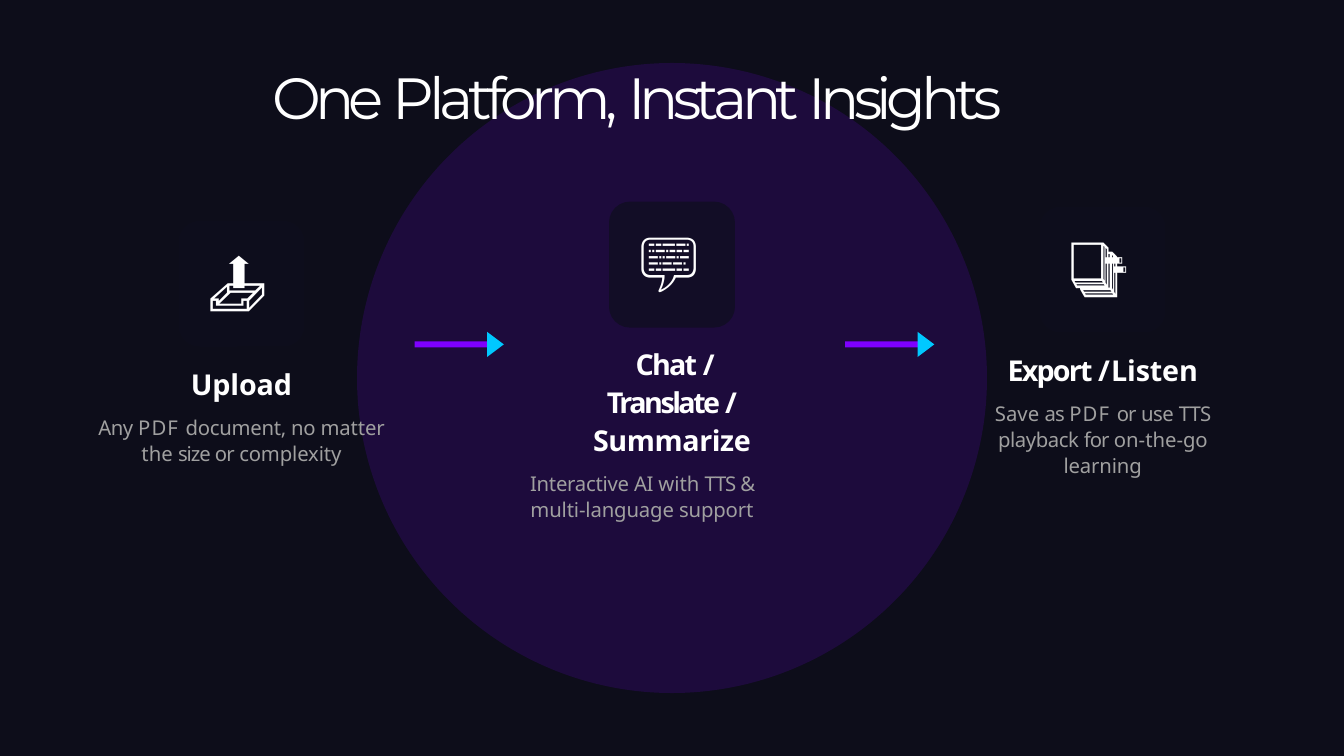
import pptx
import pptx.dml.color
import pptx.enum.shapes
import pptx.enum.text
import pptx.util
from lxml import etree

Pt = pptx.util.Pt
RGB = pptx.dml.color.RGBColor
KIND = pptx.enum.shapes.MSO_SHAPE
ALIGN = pptx.enum.text.PP_ALIGN

NIGHT = RGB(0x0D, 0x0D, 0x1A)
TILE = RGB(0x0E, 0x0E, 0x1D)
VIOLET = RGB(0x7E, 0x00, 0xFF)
CYAN = RGB(0x00, 0xC8, 0xFF)
WHITE = RGB(0xFF, 0xFF, 0xFF)
GREY = RGB(0xA0, 0xA0, 0xA0)

STEP = 307.5

TITLE = [("One ", -4.2), ("Platform, ", -3.8), ("Instant ", -4.2), ("Insights", -4)]

STAGES = [
    ("📤", 157.7, (67.7, 247.7, 209.5, 85.7), 14.4, 0,
     [("Upload", -0.1)],
     [("Any ", -0.3), ("PDF ", 0.8), ("document, no ", -0.2), ("matter ", -0.1),
      ("the ", 0), ("size ", -0.8), ("or ", -0.6), ("complexity", -0.1)]),
    ("💬", 144, (375.6, 244.8, 208.8, 102.2), 0.7, 43,
     [("Chat ", -1.3), ("/ ", -4.6), ("Translate ", -1.8), ("/", -5.1),
      (" Summarize", -0.3)],
     [("Interactive ", -0.2), ("AI ", -0.3), ("with ", 0), ("TTS ", -0.9),
      ("& ", -1.1), ("multi-language support", -0.1)]),
    ("📑", 147.6, (707.7, 237.6, 160, 105.1), 14.4, 0,
     [("Export ", -1.3), ("/ ", -4.6), ("Listen", -0.1)],
     [("Save ", 0), ("as ", -0.6), ("PDF ", 0.8), ("or ", -0.6), ("use ", -0.3),
      ("TTS ", -0.6), ("playback ", -0.3), ("for ", -0.7), ("on-the-", 0),
      ("go ", -0.2), ("learning", -0.1)]),
]


def paint(shape, color, alpha=100):
    shape.shadow.inherit = False
    shape.fill.solid()
    shape.fill.fore_color.rgb = color
    shape.line.fill.background()
    if alpha < 100:
        tint = shape.fill._xPr.find(".//" + pptx.oxml.ns.qn("a:srgbClr"))
        etree.SubElement(tint, pptx.oxml.ns.qn("a:alpha")).set("val", str(alpha * 1000))


def add_block(shapes, kind, place, color, alpha=100):
    shape = shapes.add_shape(kind, *map(Pt, place))
    paint(shape, color, alpha)


def set_frame(frame, inset):
    frame.word_wrap = True
    frame.auto_size = pptx.enum.text.MSO_AUTO_SIZE.SHAPE_TO_FIT_TEXT
    frame.vertical_anchor = pptx.enum.text.MSO_ANCHOR.TOP
    frame.margin_left = frame.margin_right = frame.margin_bottom = 0
    frame.margin_top = Pt(inset)


def write(para, runs, face, size, color, align=ALIGN.LEFT, bold=False):
    para.alignment = align
    for text, gap in runs:
        run = para.add_run()
        run.text = text
        run._r.get_or_add_rPr().set("spc", str(round(gap * 100)))
    font = para.font
    font.name, font.size, font.bold = face, Pt(size), bold
    font.color.rgb = color


def add_title(slide):
    title = slide.shapes.title
    title.left, title.top, title.width, title.height = map(Pt, (194.4, 42.5, 571, 51.8))
    set_frame(title.text_frame, 1.4)
    write(title.text_frame.paragraphs[0], TITLE, "Montserrat", 41.5, WHITE)


def add_icon(shapes, glyph, left, top):
    add_block(shapes, KIND.ROUNDED_RECTANGLE, (left, top, 90, 90), TILE, 70)
    box = shapes.add_textbox(Pt(left + 21.6), Pt(top + 13.9), Pt(46.8), Pt(53.3))
    set_frame(box.text_frame, 1.4)
    write(box.text_frame.paragraphs[0], [(glyph, 1.6)], "Roboto", 42.5, WHITE)


def add_label(shapes, place, inset, side, head, body):
    frame = shapes.add_textbox(*map(Pt, place)).text_frame
    set_frame(frame, inset)
    first = frame.paragraphs[0]
    if side:
        first.line_spacing = 1.1
        props = first._p.get_or_add_pPr()
        for name in ("marL", "marR"):
            props.set(name, str(Pt(side)))
    write(first, head, "Noto Sans", 20.5, WHITE, ALIGN.CENTER, True)
    second = frame.add_paragraph()
    second.space_before = Pt(8.5)
    second.line_spacing = 1.08
    write(second, body, "Noto Sans", 14.5, GREY, ALIGN.CENTER)


def add_arrow(slide, left, mid):
    group = slide.shapes.add_group_shape()
    add_block(group.shapes, KIND.RECTANGLE, (left, mid - 2.2, 60, 4.4), VIOLET)
    tip = left + 51.7
    path = group.shapes.build_freeform(Pt(tip), Pt(mid - 9))
    path.add_line_segments([(Pt(tip + 12), Pt(mid)), (Pt(tip), Pt(mid + 9))])
    paint(path.convert_to_shape(), CYAN)


def main():
    deck = pptx.Presentation()
    deck.slide_width, deck.slide_height = Pt(960), Pt(540)
    slide = deck.slides.add_slide(deck.slide_layouts[5])
    slide.background.fill.solid()
    slide.background.fill.fore_color.rgb = NIGHT
    add_block(slide.shapes, KIND.OVAL, (255, 45, 450, 450), VIOLET, 15)
    tree = slide.shapes._spTree
    tree.append(slide.shapes.title._element)
    add_title(slide)
    for num, (glyph, top, place, inset, side, head, body) in enumerate(STAGES):
        add_icon(slide.shapes, glyph, 127.5 + num * STEP, top)
        add_label(slide.shapes, place, inset, side, head, body)
    for num in range(len(STAGES) - 1):
        add_arrow(slide, 296.2 + num * STEP, 246)
    deck.save("out.pptx")


if __name__ == "__main__":
    main()
